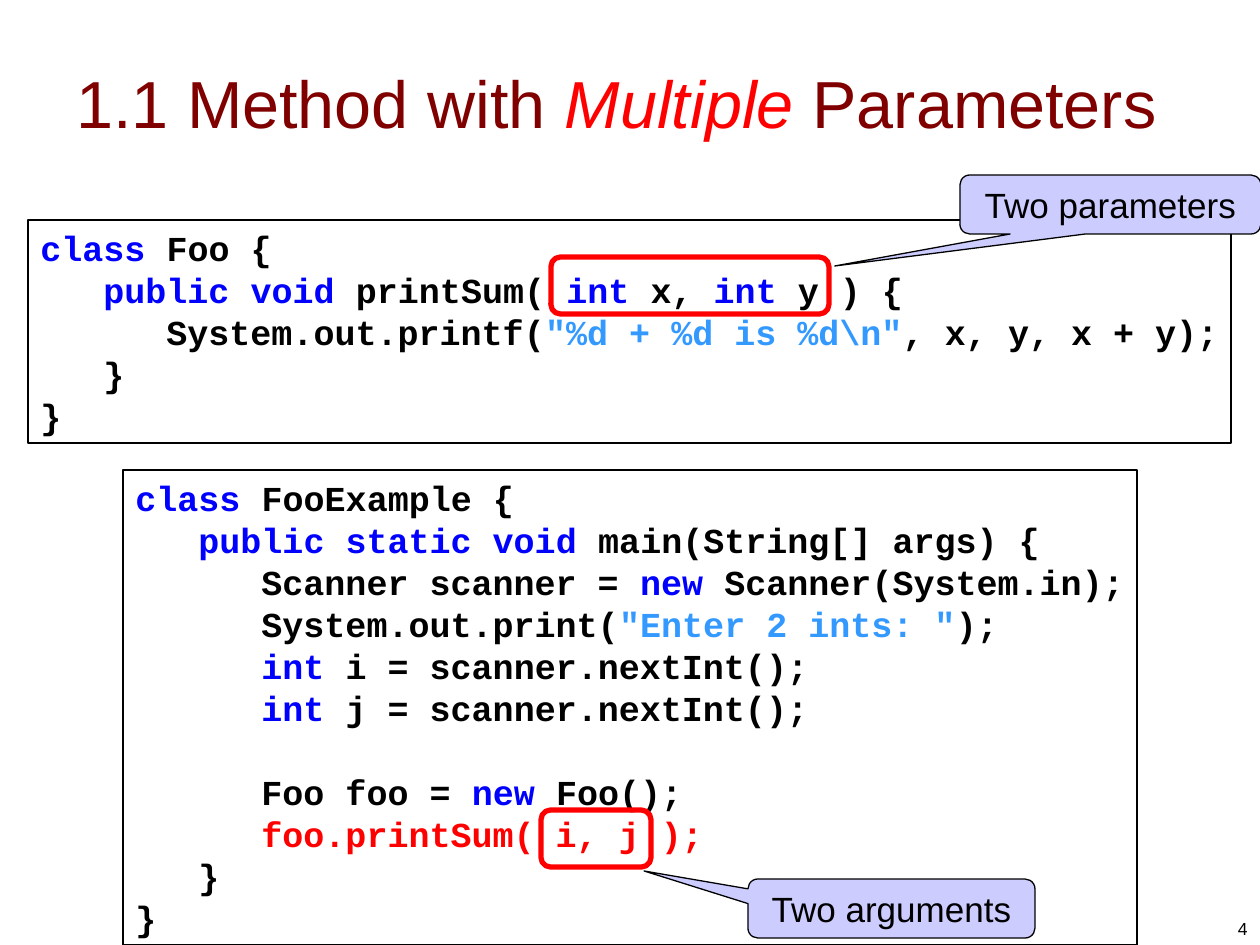
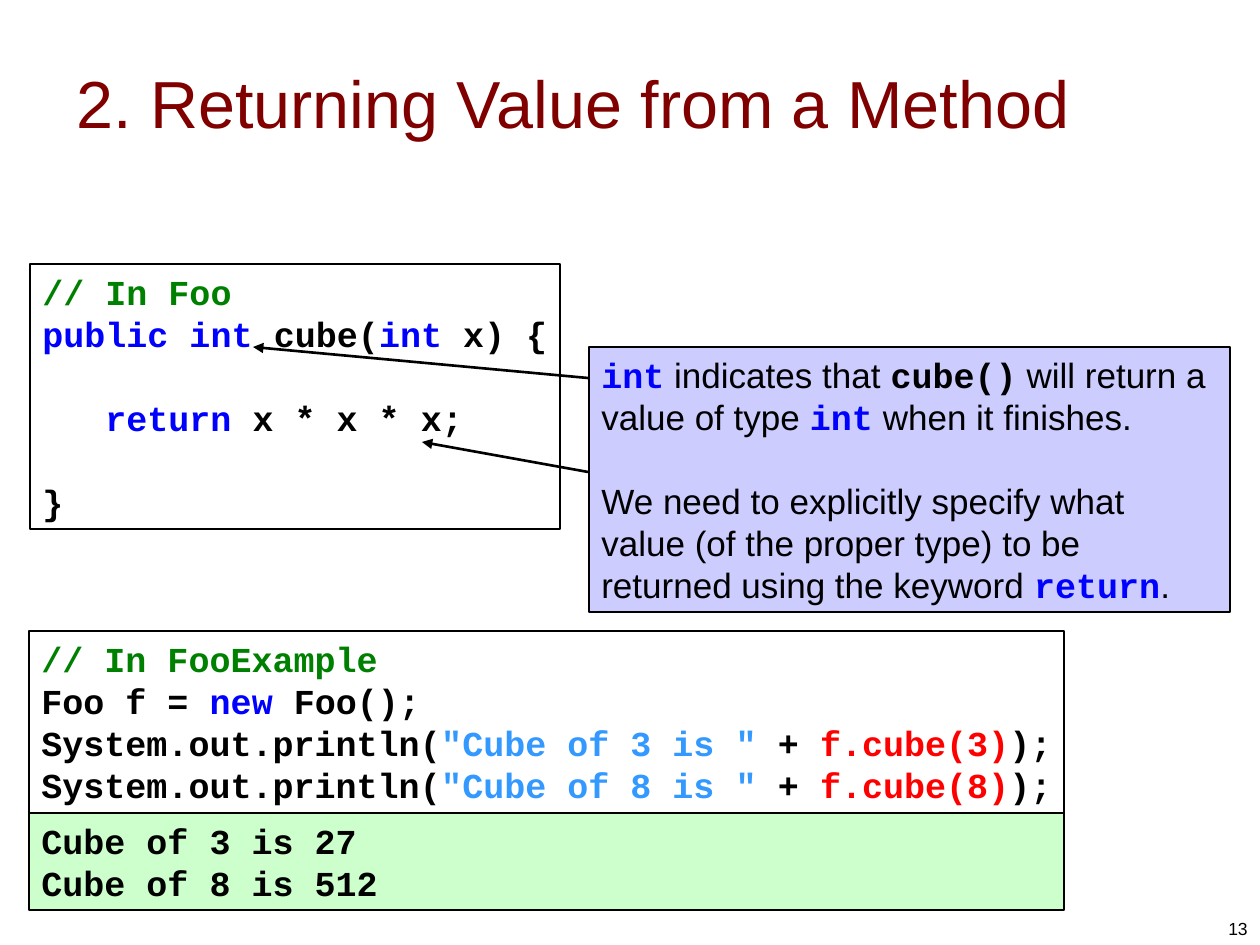
from dataclasses import dataclass

from lxml import etree
from pptx import Presentation
from pptx.dml.color import RGBColor
from pptx.enum.shapes import MSO_CONNECTOR, MSO_SHAPE
from pptx.enum.text import MSO_ANCHOR, PP_ALIGN
from pptx.oxml.ns import qn
from pptx.util import Emu, Pt

RECTANGLE = MSO_SHAPE.RECTANGLE
ROUNDED = MSO_SHAPE.ROUNDED_RECTANGLE
CALLOUT = MSO_SHAPE.ROUNDED_RECTANGULAR_CALLOUT
STRAIGHT = MSO_CONNECTOR.STRAIGHT
TOP, MIDDLE, BOTTOM = MSO_ANCHOR.TOP, MSO_ANCHOR.MIDDLE, MSO_ANCHOR.BOTTOM
LEFT, CENTER, RIGHT = PP_ALIGN.LEFT, PP_ALIGN.CENTER, PP_ALIGN.RIGHT

# Shared look
PX_PER_INCH = 126
SLIDE_W, SLIDE_H = 1260, 945
BLACK, RED, MAROON = "000000", "FF0000", "800000"
BLUE, SKY, GREEN = "0000FF", "3399FF", "008000"
LAVENDER, MINT = "CCCCFF", "CCFFCC"
SANS, MONO = "Arial", "Courier New"
LINE_PT = 24
INDENT = 63  # three characters of code


@dataclass
class Style:
    color: str = BLACK
    font: str = MONO
    size: int = 20
    bold: bool = True
    italic: bool = False


CODE, KEYWORD, STRING = Style(), Style(BLUE), Style(SKY)
COMMENT, CALL = Style(GREEN), Style(RED)
PROSE = Style(font=SANS, bold=False)
TITLE = Style(MAROON, SANS, 38, False)
TITLE_ACCENT = Style(RED, SANS, 38, False, True)
PAGE_NUMBER = Style(font=SANS, size=10, bold=False)


@dataclass
class Line:
    runs: list
    level: int = 0
    gap: bool = False


def px(length):
    return Emu(round(length * 914400 / PX_PER_INCH))


def rgb(hex_color):
    return RGBColor.from_string(hex_color)


def kw(text):
    return text, KEYWORD


def line(*runs, level=0, gap=False, style=CODE):
    """A line of styled runs; plain strings take the line's own style."""
    return Line([(r, style) if isinstance(r, str) else r for r in runs], level, gap)


def write(shape, lines, align=LEFT, anchor=TOP, wrap=True, pitch=LINE_PT):
    frame = shape.text_frame
    frame.word_wrap = wrap
    frame.vertical_anchor = anchor
    for index, item in enumerate(lines):
        paragraph = frame.paragraphs[0] if index == 0 else frame.add_paragraph()
        paragraph.alignment = align
        if pitch:
            paragraph.line_spacing = Pt(pitch)
        if item.gap:
            paragraph.space_before = Pt(LINE_PT)
        if item.level:
            paragraph._p.get_or_add_pPr().set("marL", str(px(INDENT * item.level)))
        for text, style in item.runs:
            run = paragraph.add_run()
            run.text = text
            run.font.name = style.font
            run.font.size = Pt(style.size)
            run.font.bold = style.bold
            run.font.italic = style.italic
            run.font.color.rgb = rgb(style.color)


def add_label(slide, box, runs, align, anchor):
    label = slide.shapes.add_textbox(*map(px, box))
    write(label, [line(*runs)], align, anchor, pitch=None)


def add_outlined(slide, kind, box, fill=None, color=BLACK, weight=0.75):
    shape = slide.shapes.add_shape(kind, *map(px, box))
    shape.shadow.inherit = False
    if fill:
        shape.fill.solid()
        shape.fill.fore_color.rgb = rgb(fill)
    else:
        shape.fill.background()
    shape.line.color.rgb = rgb(color)
    shape.line.width = Pt(weight)
    return shape


def add_panel(slide, box, lines, fill=None, wrap=False):
    write(add_outlined(slide, RECTANGLE, box, fill), lines, wrap=wrap)


def add_callout(slide, box, text, pointer):
    callout = add_outlined(slide, CALLOUT, box, LAVENDER)
    for index, value in enumerate((*pointer, 0.167)):
        callout.adjustments[index] = value
    write(callout, [line(text, style=PROSE)], CENTER, MIDDLE, wrap=False)


def add_highlight(slide, box):
    add_outlined(slide, ROUNDED, box, color=RED, weight=3).adjustments[0] = 0.167


def add_arrow(slide, start, end):
    arrow = slide.shapes.add_connector(STRAIGHT, *map(px, (*start, *end)))
    arrow.line.color.rgb = rgb(BLACK)
    arrow.line.width = Pt(1.5)
    etree.SubElement(arrow.line._get_or_add_ln(), qn("a:tailEnd"), type="triangle")
    etree.SubElement(arrow._element.spPr, qn("a:effectLst"))


def add_slide(deck, number, *title_runs):
    slide = deck.slides.add_slide(deck.slide_layouts[6])
    add_label(slide, (64, 23, 1134, 157), title_runs, LEFT, MIDDLE)
    add_label(slide, (966, 883, 294, 62), [(number, PAGE_NUMBER)], RIGHT, BOTTOM)
    return slide


def build_parameters(deck):
    slide = add_slide(deck, "4", ("1.1 Method with ", TITLE),
                      ("Multiple", TITLE_ACCENT), (" Parameters", TITLE))

    # Calling class
    add_panel(slide, (123, 470, 1014, 475), [
        line(kw("class"), " FooExample {"),
        line(kw("public static void"), " main(String[] args) {", level=1),
        line("Scanner scanner = ", kw("new"), " Scanner(System.in);", level=2),
        line("System.out.print(", ('"Enter 2 ints: "', STRING), ");", level=2),
        *(line(kw("int"), f" {name} = scanner.nextInt();", level=2) for name in "ij"),
        line("Foo foo = ", kw("new"), " Foo();", level=2, gap=True),
        line("foo.printSum( i, j );", level=2, style=CALL),
        line("}", level=1),
        line("}"),
    ])

    # Class with the method
    add_panel(slide, (28, 220, 1203, 223), [
        line(kw("class"), " Foo {"),
        line(kw("public void"), " printSum( ", kw("int"), " x, ", kw("int"),
             " y ) {", level=1),
        line("System.out.printf(", (r'"%d + %d is %d\n"', STRING),
             ", x, y, x + y);", level=2),
        line("}", level=1),
        line("}"),
    ])

    # Parameters and arguments
    add_callout(slide, (960, 175, 301, 59), "Two parameters", (-0.916, 1.043))
    add_highlight(slide, (551, 257, 278, 57))
    add_highlight(slide, (541, 810, 110, 57))
    add_callout(slide, (748, 879, 287, 59), "Two arguments", (-0.862, -0.637))


def build_return_value(deck):
    slide = add_slide(deck, "13", ("2. Returning Value from a Method", TITLE))

    # Method, its use and the output
    add_panel(slide, (30, 264, 530, 265), [
        line("// In Foo", style=COMMENT),
        line(kw("public int"), " cube(", kw("int"), " x) {"),
        line(kw("return"), " x * x * x;", level=1, gap=True),
        line("}", gap=True),
    ])
    cubes = {3: 27, 8: 512}
    add_panel(slide, (29, 631, 1035, 182), [
        line("// In FooExample", style=COMMENT),
        line("Foo f = ", kw("new"), " Foo();"),
        *(line("System.out.println(", (f'"Cube of {base} is "', STRING), " + ",
               (f"f.cube({base})", CALL), ");") for base in cubes),
    ])
    add_panel(slide, (29, 813, 1035, 97),
              [line(f"Cube of {base} is {cube}") for base, cube in cubes.items()],
              MINT, wrap=True)

    # Explanation
    add_panel(slide, (589, 347, 641, 265), [
        line(kw("int"), " indicates that ", ("cube()", CODE),
             " will return a value of type ", kw("int"), " when it finishes.",
             style=PROSE),
        line("We need to explicitly specify what value (of the proper type) "
             "to be returned using the keyword ", kw("return"), ".",
             gap=True, style=PROSE),
    ], LAVENDER, wrap=True)
    add_arrow(slide, (588, 472), (422, 442))
    add_arrow(slide, (588, 378), (253, 347))


def main():
    deck = Presentation()
    deck.slide_width, deck.slide_height = px(SLIDE_W), px(SLIDE_H)
    build_parameters(deck)
    build_return_value(deck)
    deck.save("out.pptx")


if __name__ == "__main__":
    main()
